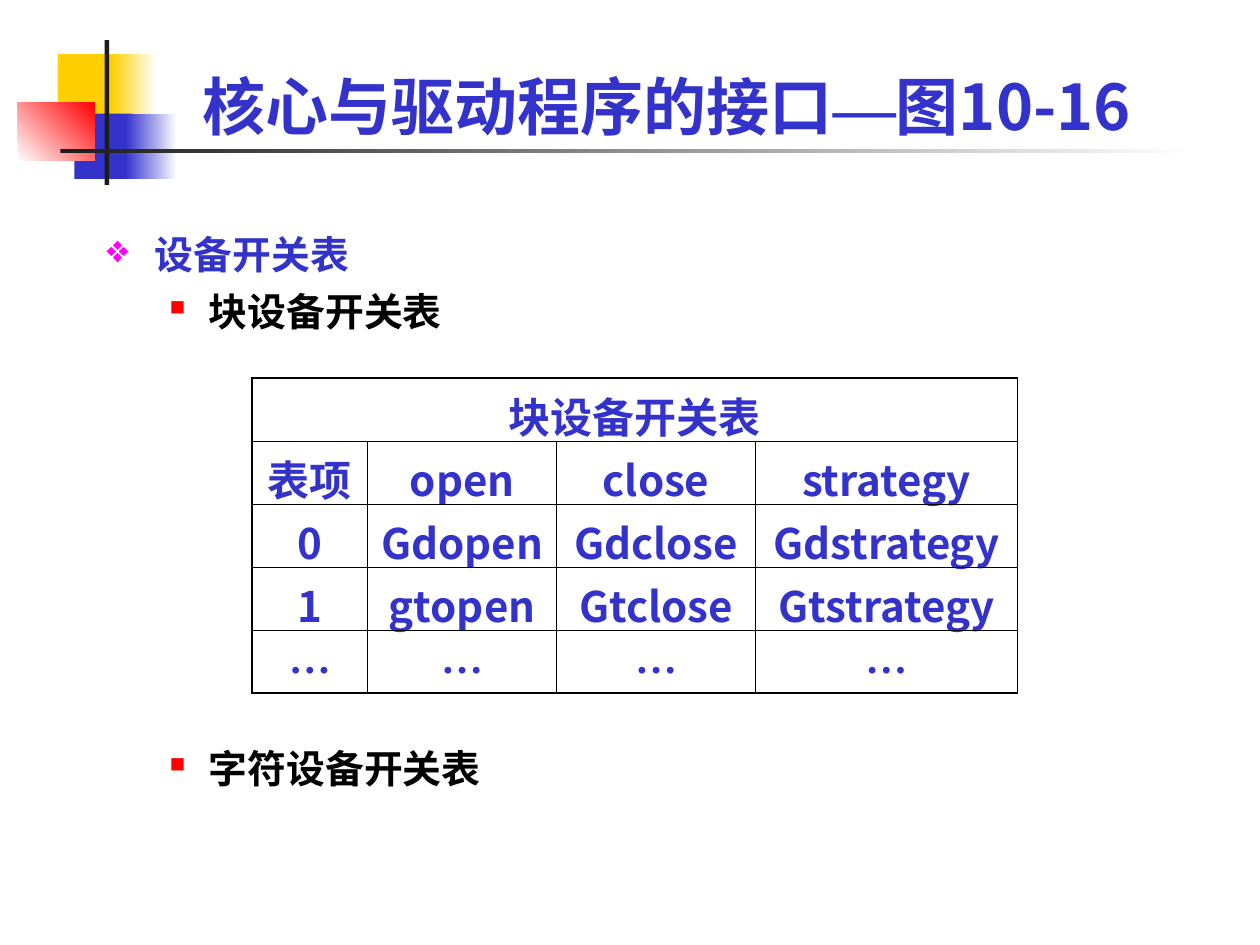
"""Build the slide on the block device switch table."""
import lxml.etree
import pptx
import pptx.dml.color
import pptx.enum.text
import pptx.enum.shapes
import pptx.oxml
import pptx.oxml.ns
import pptx.util

Cm = pptx.util.Cm
Pt = pptx.util.Pt
qn = pptx.oxml.ns.qn
BLUE, YELLOW, RED, DARK, WHITE, BLACK = "3333CC", "FFCF01", "FF0000", "1C1C1C", "FFFFFF", "000000"
SANS, SERIF, BODY = "Noto Sans CJK SC", "Times New Roman", "Lato"


def colour(value):
    return pptx.dml.color.RGBColor.from_string(value)


def add_span(para, text, face, size, value):
    span = para.add_run()
    span.text = text
    for name, setting in {"name": face, "size": Pt(size), "bold": True}.items():
        setattr(span.font, name, setting)
    span.font.color.rgb = colour(value)
    lxml.etree.SubElement(span.font._element, qn("a:ea"), typeface=face)


deck = pptx.Presentation()
deck.slide_width, deck.slide_height = Cm(25.4), Cm(19.05)
page = deck.slides.add_slide(deck.slide_layouts[6])

ornaments = [
    (1.17, 1.09, 1.22, 1.32, [YELLOW], 0),
    (2.24, 1.09, 0.91, 1.32, [YELLOW, WHITE], 0),
    (1.5, 2.29, 1.17, 1.32, [BLUE], 0),
    (2.54, 2.29, 1.02, 1.32, [BLUE, WHITE], 0),
    (0.36, 2.06, 1.55, 1.18, [WHITE, RED], 45),
    (2.11, 0.81, 0.09, 2.92, [DARK], 0),
    (1.22, 3, 22.86, 0.08, [DARK, WHITE], 0),
]
for left, top, width, height, shades, angle in ornaments:
    ornament = page.shapes.add_shape(
        pptx.enum.shapes.MSO_SHAPE.RECTANGLE, Cm(left), Cm(top), Cm(width), Cm(height))
    ornament.shadow.inherit = False
    ornament.line.fill.background()
    if len(shades) == 1:
        ornament.fill.solid()
        ornament.fill.fore_color.rgb = colour(shades[0])
    else:
        ornament.fill.gradient()
        ornament.fill.gradient_angle = angle
        for stop, shade in zip(ornament.fill.gradient_stops, shades):
            stop.color.rgb = colour(shade)

title_box = page.shapes.add_textbox(Cm(3.84), Cm(0.53), Cm(19.66), Cm(2.36))
title_format = {
    "word_wrap": True,
    "vertical_anchor": pptx.enum.text.MSO_ANCHOR.BOTTOM,
    "margin_bottom": Cm(0),
}
for name, setting in title_format.items():
    setattr(title_box.text_frame, name, setting)
for text, face in [("核心与驱动程序的接口", SANS), ("—", SERIF), ("图10-16", SANS)]:
    add_span(title_box.text_frame.paragraphs[0], text, face, 36, BLUE)

outline_box = page.shapes.add_textbox(Cm(1.9), Cm(4.52), Cm(21.9), Cm(12.07))
outline_box.text_frame.word_wrap = True
outline = [
    ("设备开关表", BLUE, 0, 0, 0.97, "❖", "FF00FF", 100),
    ("块设备开关表", BLACK, 1, 6, 2.06, "■", RED, 55),
    ("字符设备开关表", BLACK, 1, 234.5, 2.06, "■", RED, 55),
]
for index, (text, shade, level, before, margin, mark, mark_shade, percent) in enumerate(outline):
    frame = outline_box.text_frame
    para = frame.add_paragraph() if index else frame.paragraphs[0]
    para.level = level
    para.space_before = Pt(before)
    properties = para._p.get_or_add_pPr()
    properties.set("marL", str(Cm(margin)))
    properties.set("indent", str(-Cm(0.79 if level else 0.97)))
    mark_colour = lxml.etree.SubElement(properties, qn("a:buClr"))
    lxml.etree.SubElement(mark_colour, qn("a:srgbClr"), val=mark_shade)
    lxml.etree.SubElement(properties, qn("a:buSzPct"), val=str(percent * 1000))
    lxml.etree.SubElement(properties, qn("a:buChar"), char=mark)
    add_span(para, text, BODY, 22.2, shade)

rows = [
    ["块设备开关表", "", "", ""],
    ["表项", "open", "close", "strategy"],
    ["0", "Gdopen", "Gdclose", "Gdstrategy"],
    ["1", "gtopen", "Gtclose", "Gtstrategy"],
    ["…"] * 4,
]
widths = [2.33, 3.81, 4.01, 5.28]
table = page.shapes.add_table(
    len(rows), len(widths), Cm(5.08), Cm(7.62), Cm(sum(widths)), Cm(6.35)).table
table.first_row = table.horz_banding = False
for column, width in zip(table.columns, widths):
    column.width = Cm(width)
table.cell(0, 0).merge(table.cell(0, len(widths) - 1))

for row, texts in enumerate(rows):
    table.rows[row].height = Cm(1.27)
    for column, text in enumerate(texts):
        cell = table.cell(row, column)
        cell.fill.background()
        outer_edges = {
            "L": column == 0,
            "R": column == len(widths) - 1,
            "T": row == 0,
            "B": row == len(rows) - 1,
        }
        for position, (side, outer) in enumerate(outer_edges.items()):
            border = lxml.etree.Element(qn("a:ln" + side), w=str(Pt(1.08 if outer else 0.45)))
            border_fill = lxml.etree.SubElement(border, qn("a:solidFill"))
            lxml.etree.SubElement(border_fill, qn("a:srgbClr"), val=BLACK)
            cell._tc.get_or_add_tcPr().insert(position, border)
        if text:
            para = cell.text_frame.paragraphs[0]
            para.alignment = pptx.enum.text.PP_ALIGN.CENTER
            add_span(para, text, SERIF if text == "…" else SANS, 24, BLUE)

deck.save("out.pptx")
